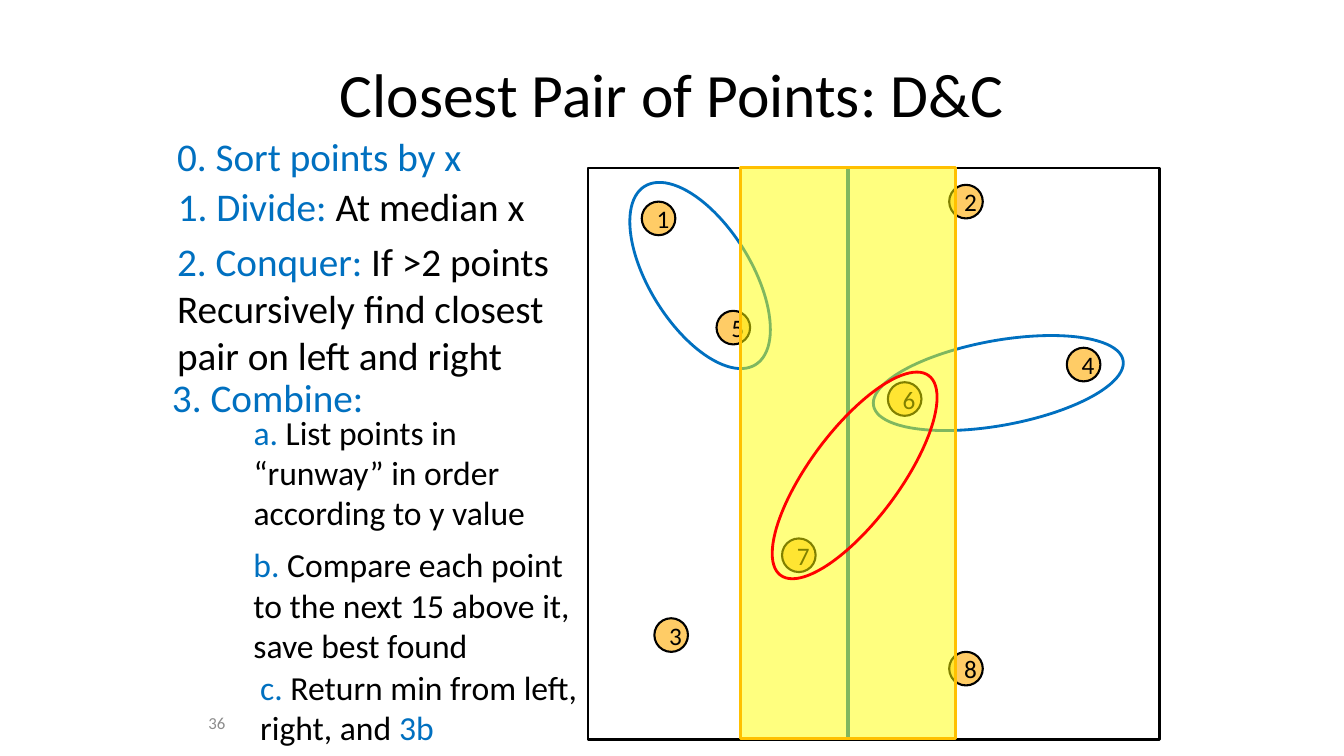
from lxml import etree
from pptx import Presentation
from pptx.dml.color import RGBColor
from pptx.enum.shapes import MSO_CONNECTOR as Conn, MSO_SHAPE as Shape
from pptx.enum.text import MSO_ANCHOR as Anchor, PP_ALIGN as Align
from pptx.oxml.ns import qn
from pptx.util import Inches, Pt

COLORS = {"ink": "000000", "blue": "0070C0", "point": "FFCC66", "runway": "FFFF00",
          "edge": "FFC000", "red": "FF0000", "gray": "8C8C8C"}
COLS, ROWS = 160, 90


def rgb(name):
    return RGBColor.from_string(COLORS[name])


class Board:
    """Style and current slide; lengths are in columns and rows of the grid."""
    font = "Calibri"

    def __init__(self, prs):
        self.cell_w = prs.slide_width / COLS
        self.cell_h = prs.slide_height / ROWS
        self.s = prs.slides.add_slide(prs.slide_layouts[6])

    def place(self, x, y, w, h):
        return (round(x * self.cell_w), round(y * self.cell_h),
                round(w * self.cell_w), round(h * self.cell_h))

    def set_runs(self, tf, runs, size, align=Align.LEFT):
        """Fill the first paragraph with (text, colour) runs."""
        p = tf.paragraphs[0]
        p.alignment = align
        p.font.name, p.font.size = self.font, Pt(size)
        for text, color in runs:
            r = p.add_run()
            r.text = text
            r.font.color.rgb = rgb(color)

    def text(self, box, runs, size, align=Align.LEFT, anchor=Anchor.TOP):
        tf = self.s.shapes.add_textbox(*self.place(*box)).text_frame
        tf.word_wrap = True
        tf.vertical_anchor = anchor
        self.set_runs(tf, runs, size, align)

    def shape(self, kind, box, line, width=2, fill=None, alpha=None, turn=0):
        sp = self.s.shapes.add_shape(kind, *self.place(*box))
        sp.shadow.inherit = False
        sp.rotation = turn
        sp.line.color.rgb, sp.line.width = rgb(line), Pt(width)
        if fill is None:
            sp.fill.background()
        else:
            sp.fill.solid()
            sp.fill.fore_color.rgb = rgb(fill)
        if alpha is not None:
            color = sp._element.spPr.find(qn("a:solidFill"))[0]
            etree.SubElement(color, qn("a:alpha"), val=str(alpha * 1000))
        return sp

    def point(self, label, x, y):
        sp = self.shape(Shape.OVAL, (x, y, 4, 4), "ink", 1.5, "point")
        self.set_runs(sp.text_frame, [(label, "ink")], 18, Align.CENTER)

    def pair(self, box, turn, color="blue"):
        self.shape(Shape.OVAL, box, color, turn=turn)

    def line(self, x1, y1, x2, y2, color, width):
        ends = self.place(x1, y1, x2, y2)
        cn = self.s.shapes.add_connector(Conn.STRAIGHT, *ends)
        cn.line.color.rgb, cn.line.width = rgb(color), Pt(width)
        etree.SubElement(cn._element.spPr, qn("a:effectLst"))
        return cn


POINTS = [(76.4, 24), (113, 22), (77.9, 73.6), (127, 41.4),
          (85.3, 37), (105.7, 45.5), (93.1, 64.1), (113, 77.6)]

# box, font size, blue lead, black text, blue end
STEPS = [
    ((19.9, 15.1, 50.6, 6.8), 28, "0. Sort points by x", "", ""),
    ((20, 21.1, 50.6, 6.8), 28, "1. Divide: ", "At median x", ""),
    ((19.9, 27.7, 50.6, 18.1), 28, "2. Conquer: ",
     "If >2 points Recursively find closest pair on left and right", ""),
    ((19.3, 43.9, 50.6, 6.8), 28, "3. Combine:", "", ""),
    ((29, 48.4, 39, 20.6), 24, "a. ",
     "List points in “runway” in order according to y value", ""),
    ((29, 64.2, 41, 15.7), 24, "b. ",
     "Compare each point to the next 15 above it, save best found", ""),
    ((29.8, 78.8, 41, 10.9), 24, "c. ", "Return min from left, right, and ", "3b"),
]


def main():
    prs = Presentation()
    prs.slide_width, prs.slide_height = Inches(40 / 3), Inches(7.5)
    board = Board(prs)

    board.text((8, 3.6, 144, 15), [("Closest Pair of Points: D&C", "ink")], 44,
               Align.CENTER, Anchor.MIDDLE)
    board.shape(Shape.RECTANGLE, (70, 20, 68, 68), "ink")
    for number, (x, y) in enumerate(POINTS, 1):
        board.point(str(number), x, y)

    median = board.line(101, 20, 101, 88, "blue", 3)
    board.pair((77.3, 20.3, 12.1, 25), 328.1)
    board.pair((113.8, 30.5, 10.1, 30.2), 259.7)
    runway = board.shape(Shape.RECTANGLE, (88.2, 19.9, 25.6, 68), "edge",
                         fill="runway", alpha=50)
    median.begin_connect(runway, 0)
    median.end_connect(runway, 2)
    board.pair((96.4, 41.8, 10.7, 29.6), 216.6, "red")

    for box, size, lead, body, end in STEPS:
        runs = [(lead, "blue"), (body, "ink"), (end, "blue")]
        board.text(box, [run for run in runs if run[0]], size)
    board.text((0, 83.6, 28, 4.8), [("36", "gray")], 12, Align.RIGHT, Anchor.MIDDLE)

    prs.save("out.pptx")


if __name__ == "__main__":
    main()
